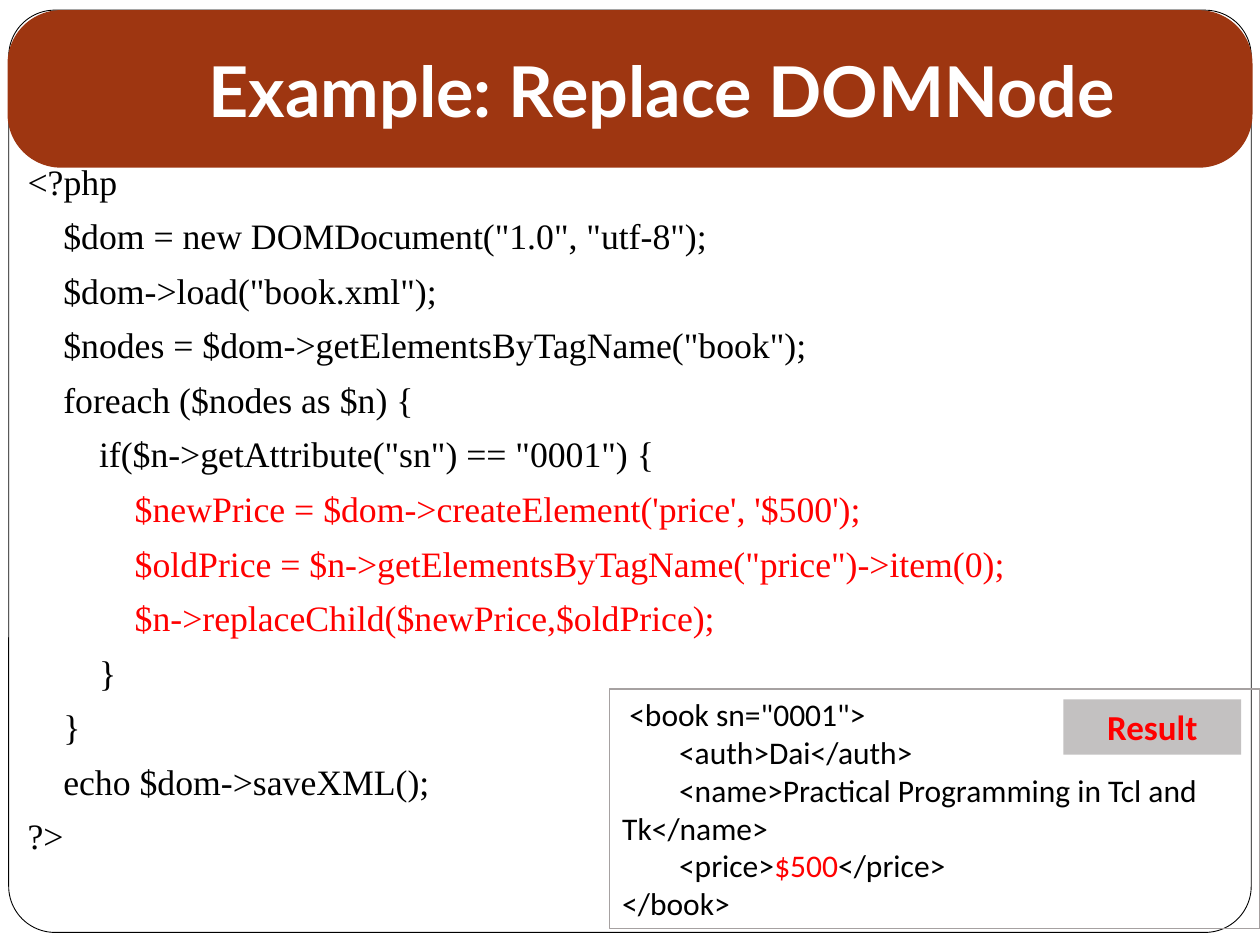
from pptx import Presentation
from pptx.dml.color import RGBColor
from pptx.enum.shapes import MSO_SHAPE
from pptx.enum.text import MSO_ANCHOR, MSO_AUTO_SIZE, PP_ALIGN
from pptx.oxml.ns import qn
from pptx.util import Pt
from lxml.etree import SubElement

BLACK = RGBColor(0x00, 0x00, 0x00)
WHITE = RGBColor(0xFF, 0xFF, 0xFF)
RED = RGBColor(0xFF, 0x00, 0x00)
RUST = RGBColor(0x9E, 0x36, 0x11)
GREY = RGBColor(0xC3, 0xC1, 0xC1)
BORDER = RGBColor(0xA6, 0xA1, 0xA1)

# Each line is a list of (text, colour) spans
CODE = [
    [('<?php', BLACK)],
    [('    $dom = new DOMDocument("1.0", "utf-8");', BLACK)],
    [('    $dom->load("book.xml");', BLACK)],
    [('    $nodes = $dom->getElementsByTagName("book");', BLACK)],
    [('    foreach ($nodes as $n) {', BLACK)],
    [('        if($n->getAttribute("sn") == "0001") {', BLACK)],
    [("            $newPrice = $dom->createElement('price', '$500');", RED)],
    [('            $oldPrice = $n->getElementsByTagName("price")->item(0);', RED)],
    [('            $n->replaceChild($newPrice,$oldPrice);', RED)],
    [('        }', BLACK)],
    [('    }', BLACK)],
    [('    echo $dom->saveXML();', BLACK)],
    [('?>', BLACK)],
]
RESULT = [
    [(' <book sn="0001">', BLACK)],
    [('        <auth>Dai</auth>', BLACK)],
    [('        <name>Practical Programming in Tcl and Tk</name>', BLACK)],
    [('        <price>', BLACK), ('$500', RED), ('</price>', BLACK)],
    [('</book>', BLACK)],
]


def place(box, left, top, width, height):
    box.left, box.top = Pt(left), Pt(top)
    box.width, box.height = Pt(width), Pt(height)


def add_panel(page, kind, bounds, fill=None, line=None, weight=0.5, rounding=None):
    box = page.shapes.add_shape(kind, *(Pt(length) for length in bounds))
    box.shadow.inherit = False
    if rounding is not None:
        box.adjustments[0] = rounding
    if fill is None:
        box.fill.background()
    else:
        box.fill.solid()
        box.fill.fore_color.rgb = fill
    if line is None:
        box.line.fill.background()
    else:
        box.line.color.rgb = line
        box.line.width = Pt(weight)
    return box


def write_lines(box, lines, font, size, bold=False, align=PP_ALIGN.LEFT,
                anchor=MSO_ANCHOR.TOP, gap=0, hanging=0):
    frame = box.text_frame
    frame.word_wrap = True
    frame.auto_size = MSO_AUTO_SIZE.NONE
    frame.vertical_anchor = anchor
    for index, spans in enumerate(lines):
        para = frame.paragraphs[0] if index == 0 else frame.add_paragraph()
        para.alignment = align
        para.space_before = Pt(gap if index else 0)
        # Plain lines without bullets
        properties = para._p.get_or_add_pPr()
        properties.set("marL", str(Pt(hanging)))
        properties.set("indent", str(Pt(-hanging)))
        SubElement(properties, qn("a:buNone"))
        for text, color in spans:
            span = para.add_run()
            span.text = text
            span.font.name = font
            span.font.size = Pt(size)
            span.font.bold = bold
            span.font.color.rgb = color


def add_background(page):
    add_panel(page, MSO_SHAPE.ROUNDED_RECTANGLE, (5, 5.8, 710, 527),
              fill=WHITE, line=BLACK, rounding=0.05)
    add_panel(page, MSO_SHAPE.ROUNDED_RECTANGLE, (4.3, 5.8, 711.4, 90),
              fill=RUST, rounding=0.34)


def fill_placeholder(box, bounds, lines, **style):
    place(box, *bounds)
    write_lines(box, lines, **style)
    # Bring the text in front of the background
    box.element.getparent().append(box.element)


def add_result(page):
    output = add_panel(page, MSO_SHAPE.RECTANGLE, (348.5, 393.8, 371.5, 136.8),
                       line=BORDER, weight=0.75)
    write_lines(output, RESULT, "Calibri", 18)
    label = add_panel(page, MSO_SHAPE.RECTANGLE, (607.7, 399.6, 101.5, 31.7), fill=GREY)
    write_lines(label, [[("Result", RED)]], "Calibri", 20, bold=True,
                align=PP_ALIGN.CENTER)


def main():
    deck = Presentation()
    deck.slide_width, deck.slide_height = Pt(720), Pt(540)
    page = deck.slides.add_slide(deck.slide_layouts[1])
    title, body = page.shapes.title, page.placeholders[1]

    add_background(page)
    fill_placeholder(title, (72, 8, 612, 90), [[("Example: Replace DOMNode", WHITE)]],
                     font="Lato", size=40, bold=True, align=PP_ALIGN.CENTER,
                     anchor=MSO_ANCHOR.MIDDLE)
    title.text_frame.margin_bottom = Pt(7.2)
    fill_placeholder(body, (8.6, 87.5, 648, 397.5), CODE, font="Times New Roman",
                     size=20.4, gap=6.7, hanging=21.6)
    add_result(page)
    deck.save("out.pptx")


if __name__ == "__main__":
    main()
